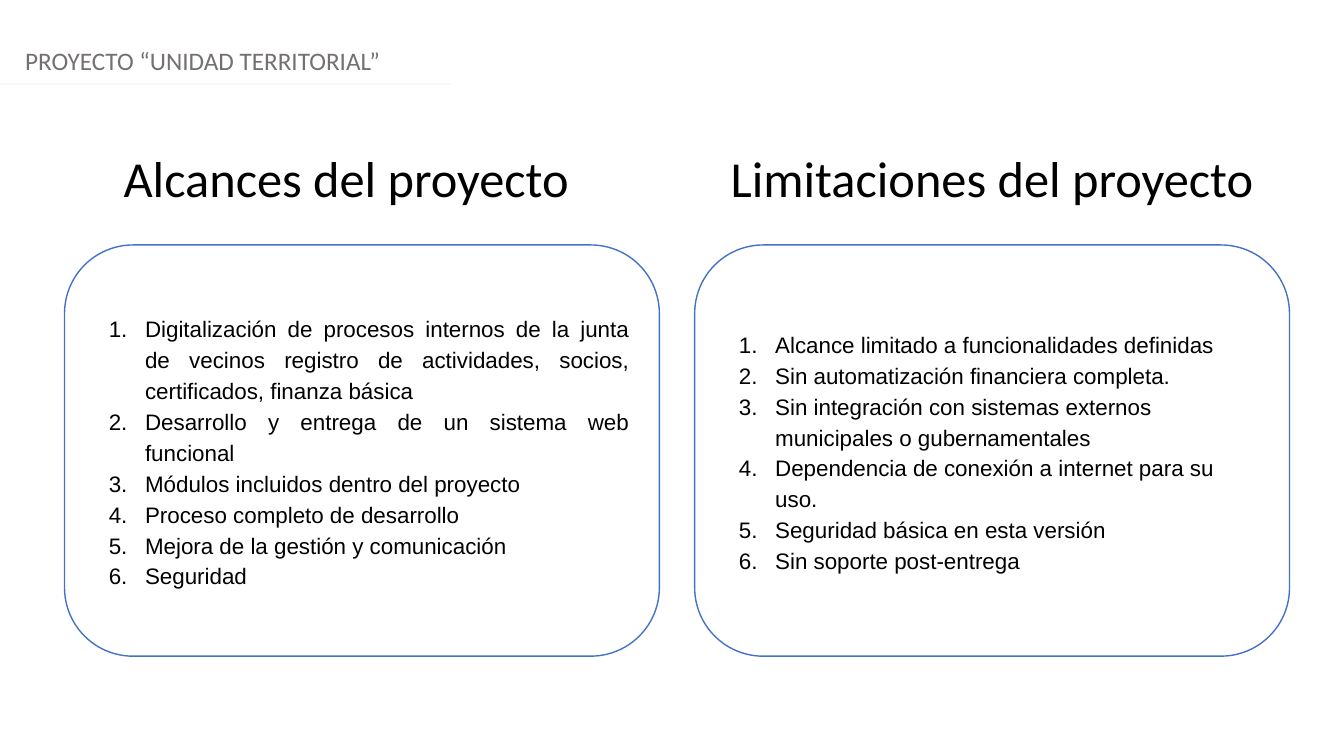
from lxml import etree
from pptx import Presentation
from pptx.dml.color import RGBColor
from pptx.enum.shapes import MSO_CONNECTOR
from pptx.enum.text import MSO_ANCHOR, MSO_AUTO_SIZE, PP_ALIGN
from pptx.oxml.ns import qn
from pptx.util import Inches, Pt

LEFT, MID, JUST = PP_ALIGN.LEFT, PP_ALIGN.CENTER, PP_ALIGN.JUSTIFY
TOP, MIDDLE = MSO_ANCHOR.TOP, MSO_ANCHOR.MIDDLE
FIXED = MSO_AUTO_SIZE.NONE
LINE = MSO_CONNECTOR.STRAIGHT

TITLE = "PROYECTO “UNIDAD TERRITORIAL”"
COLUMNS = [
    {"head": "Alcances del proyecto", "width": 5.59, "align": JUST, "items": [
        "Digitalización de procesos internos de la junta de vecinos registro de actividades, socios, certificados, finanza básica",
        "Desarrollo y entrega de un sistema web funcional",
        "Módulos incluidos dentro del proyecto",
        "Proceso completo de desarrollo",
        "Mejora de la gestión y comunicación",
        "Seguridad",
    ]},
    {"head": "Limitaciones del proyecto", "width": 5.9, "align": LEFT, "items": [
        "Alcance limitado a funcionalidades definidas",
        "Sin automatización financiera completa.",
        "Sin integración con sistemas externos municipales o gubernamentales",
        "Dependencia de conexión a internet para su uso.",
        "Seguridad básica en esta versión",
        "Sin soporte post-entrega",
    ]},
]
THEME = {
    "title": {"size": Pt(18), "name": "Calibri", "color": "757070"},
    "head": {"size": Pt(36), "name": "Calibri", "color": "000000"},
    "item": {"size": Pt(16), "name": "Arial", "color": "000000"},
    "card": "FFFFFF", "edge": "4472C4", "rule": "F5F7FC",
}
WIDE, HIGH = 13.33, 7.5
START, STEP, CARD = 0.64, 6.25, 5.9
HEAD_Y, CARD_Y, CARD_H = 1.41, 2.43, 4.08
RULE_Y = 0.83


def place(shape, box, anchor):
    for key, val in zip(("left", "top", "width", "height"), box):
        setattr(shape, key, Inches(val))
    frame = shape.text_frame
    look = {"word_wrap": True, "auto_size": FIXED, "vertical_anchor": anchor,
            "margin_left": Inches(0.1), "margin_right": Inches(0.1),
            "margin_top": Inches(0.05), "margin_bottom": Inches(0.05)}
    for key, val in look.items():
        setattr(frame, key, val)
    return frame


def write(para, text, style, align, **look):
    run = para.add_run()
    run.text = text
    font = {"size": style["size"], "name": style["name"], "bold": False}
    for key, val in font.items():
        setattr(run.font, key, val)
    run.font.color.rgb = RGBColor.from_string(style["color"])
    para.alignment = align
    for key, val in {"space_before": Pt(0), "line_spacing": 1.0, **look}.items():
        setattr(para, key, val)


def number(para, color):
    props = para._p.get_or_add_pPr()
    props.set("marL", str(Inches(0.5)))
    props.set("indent", str(Inches(-0.36)))
    tint = etree.SubElement(props, qn("a:buClr"))
    etree.SubElement(tint, qn("a:srgbClr"), val=color)
    etree.SubElement(props, qn("a:buFont"), typeface="Arial")
    etree.SubElement(props, qn("a:buAutoNum"), type="arabicPeriod")


def outline(shape):
    geom = etree.SubElement(shape._element.spPr, qn("a:prstGeom"), prst="roundRect")
    etree.SubElement(geom, qn("a:avLst"))
    shape.fill.solid()
    shape.fill.fore_color.rgb = RGBColor.from_string(THEME["card"])
    shape.line.color.rgb = RGBColor.from_string(THEME["edge"])
    shape.line.width = Pt(1)


def main():
    deck = Presentation()
    deck.slide_width, deck.slide_height = Inches(WIDE), Inches(HIGH)
    slide = deck.slides.add_slide(deck.slide_layouts.get_by_name("Comparison"))
    slots = {s.placeholder_format.idx: s for s in slide.placeholders}

    frame = place(slots[0], (0.15, 0.4, WIDE - 0.15, 0.4), TOP)
    write(frame.paragraphs[0], TITLE, THEME["title"], LEFT)

    rule = slide.shapes.add_connector(LINE, 0, Inches(RULE_Y), Inches(4.47), Inches(RULE_Y))
    rule.line.color.rgb = RGBColor.from_string(THEME["rule"])
    rule.line.width = Pt(1.25)
    etree.SubElement(rule._element.spPr, qn("a:effectLst"))

    for col, part in enumerate(COLUMNS):
        left = START + col * STEP
        head, card = slots[2 * col + 1], slots[2 * col + 2]
        frame = place(head, (left, HEAD_Y, part["width"], 0.71), TOP)
        write(frame.paragraphs[0], part["head"], THEME["head"], MID)

        frame = place(card, (left, CARD_Y, CARD, CARD_H), MIDDLE)
        outline(card)
        for row, text in enumerate(part["items"]):
            para = frame.add_paragraph() if row else frame.paragraphs[0]
            write(para, text, THEME["item"], part["align"], line_spacing=1.15,
                  space_before=Pt(0 if row else 14))
            number(para, THEME["item"]["color"])

    deck.save("out.pptx")


if __name__ == "__main__":
    main()
